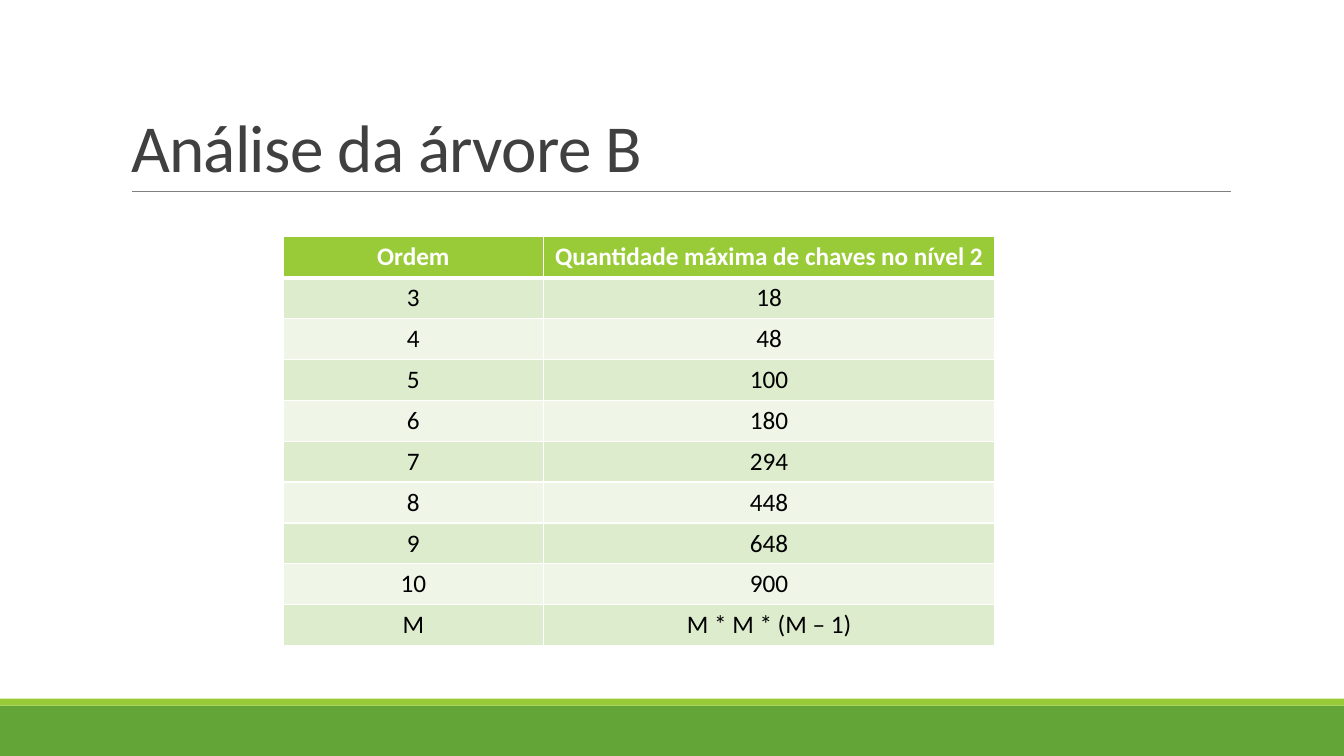
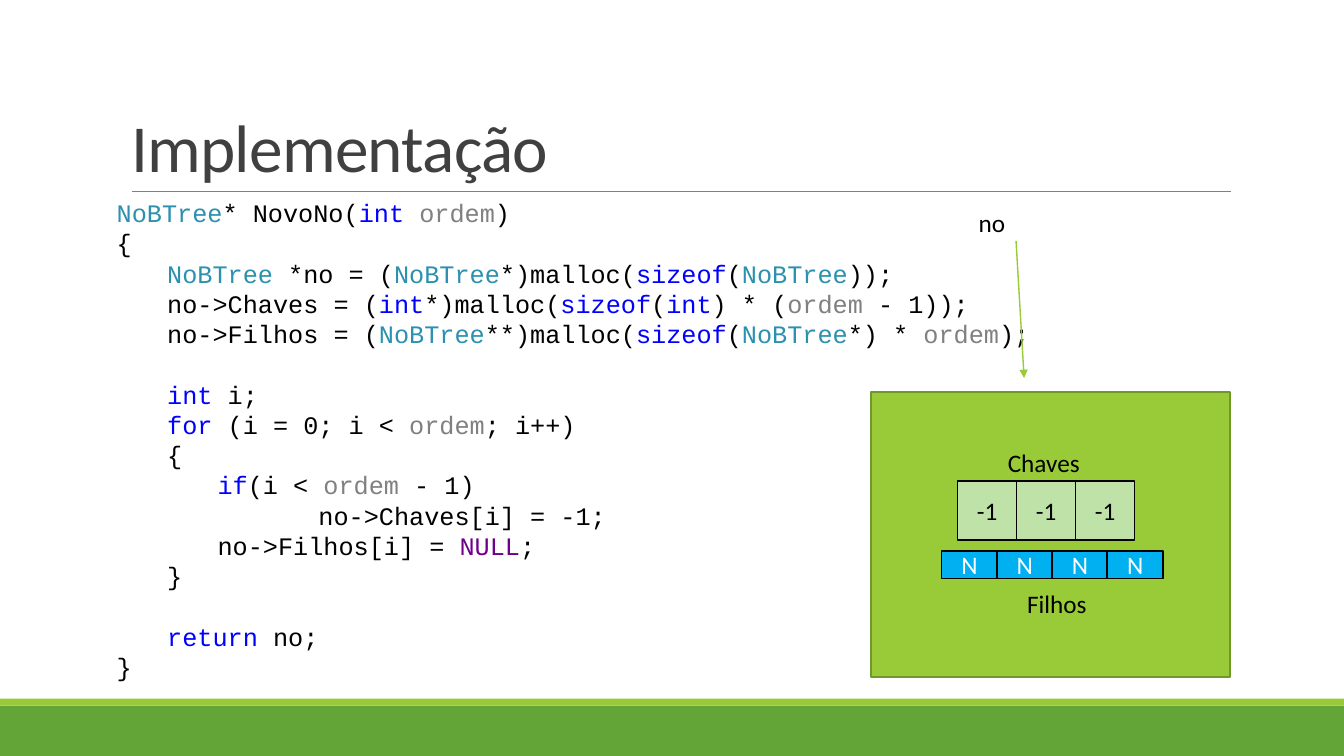
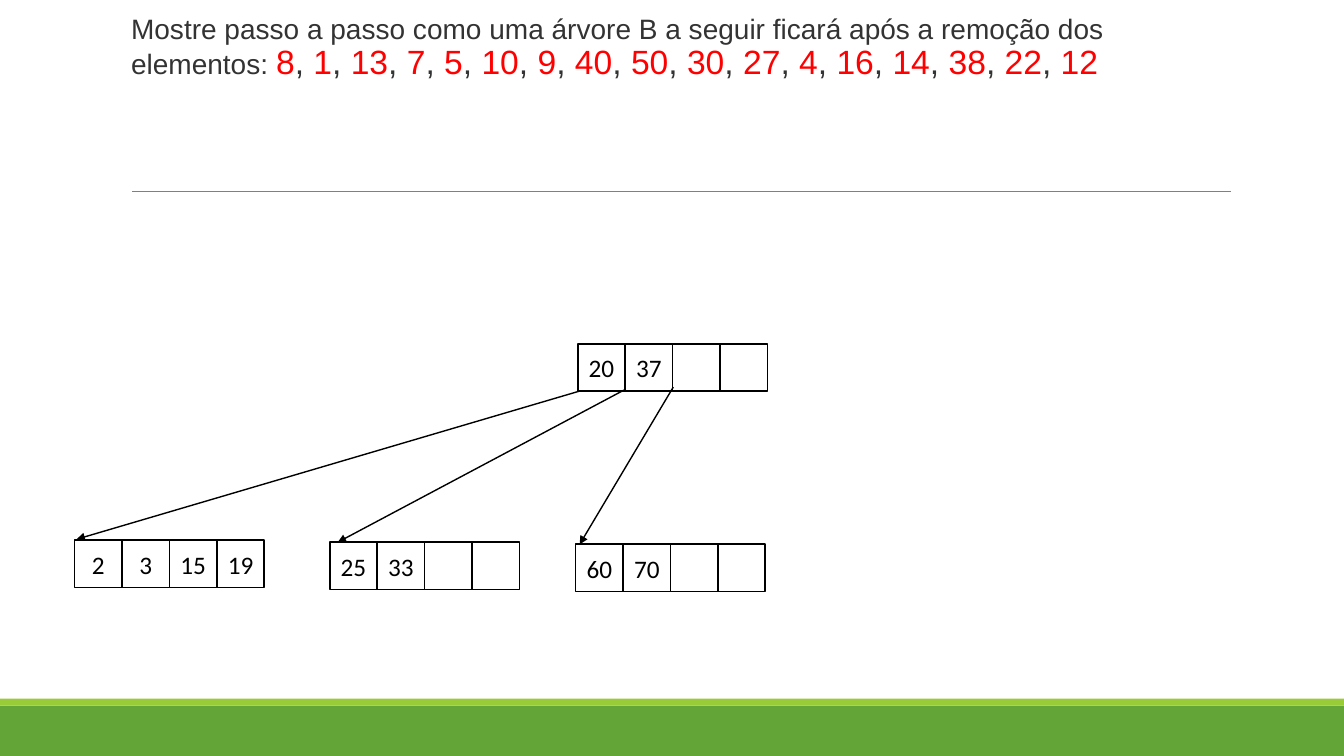
from dataclasses import dataclass
from itertools import groupby

from pptx import Presentation
from pptx.dml.color import RGBColor
from pptx.enum.shapes import MSO_CONNECTOR as Connector, MSO_SHAPE as Preset
from pptx.enum.text import MSO_ANCHOR as Anchor, MSO_AUTO_SIZE as AutoSize, PP_ALIGN as Align
from pptx.oxml.ns import qn
from pptx.util import Inches, Pt
from lxml.etree import SubElement

WIDTH, HEIGHT = Inches(13.33), Inches(7.5)
TITLE_ONLY, TITLE_AND_BODY = 5, 1


@dataclass(frozen=True)
class Theme:
    """Colours, fonts and sizes shared by the slides."""
    font: str = "Calibri"
    code_font: str = "Courier New"
    prompt_font: str = "Arial"
    title_size: float = 48
    text_size: float = 18
    prompt_size: float = 20
    number_size: float = 24
    code_pitch: float = 21.6
    outline: float = 1.25
    ink: str = "000000"
    paper: str = "FFFFFF"
    title: str = "404040"
    rule: str = "808080"
    green: str = "63A537"
    lime: str = "99CB38"
    lime_edge: str = "719629"
    bands: tuple = ("EFF6E8", "DEECCE")
    key: str = "BFE2A8"
    child: str = "00B0F0"
    prompt: str = "333333"
    red: str = "FF0000"


THEME = Theme()
SYNTAX = {
    "NoBTree": "2B91AF",
    "ordem": "808080",
    "NULL": "6F008A",
    **dict.fromkeys(("int", "sizeof", "for", "if", "return"), "0000FF"),
}
CODE = """\
NoBTree* NovoNo(int ordem)
{
    NoBTree *no = (NoBTree*)malloc(sizeof(NoBTree));
    no->Chaves = (int*)malloc(sizeof(int) * (ordem - 1));
    no->Filhos = (NoBTree**)malloc(sizeof(NoBTree*) * ordem);

    int i;
    for (i = 0; i < ordem; i++)
    {
        if(i < ordem - 1)
                no->Chaves[i] = -1;
        no->Filhos[i] = NULL;
    }

    return no;
}"""
ORDERS = [
    ("Ordem", "Quantidade máxima de chaves no nível 2"),
    *((str(order), str(order * order * (order - 1))) for order in range(3, 11)),
    ("M", "M * M * (M – 1)"),
]
REMOVALS = (8, 1, 13, 7, 5, 10, 9, 40, 50, 30, 27, 4, 16, 14, 38, 22, 12)


def across(share):
    """Turn a percentage of the slide's width into a length."""
    return round(WIDTH * share / 100)


def down(share):
    """Turn a percentage of the slide's height into a length."""
    return round(HEIGHT * share / 100)


def area(left, top, width, height):
    """Turn four percentages into a position and a size."""
    return across(left), down(top), across(width), down(height)


def rgb(colour):
    """Read a hexadecimal colour."""
    return RGBColor.from_string(colour)


def write(para, text, *, size=THEME.text_size, font=THEME.font, colour=THEME.ink, bold=False):
    """Add a formatted run to a paragraph."""
    span = para.add_run()
    span.text = text
    span.font.size = Pt(size)
    span.font.name = font
    span.font.bold = bold
    span.font.color.rgb = rgb(colour)
    return span


def add_rect(shapes, place, fill, line=None, text="", colour=THEME.ink):
    """Draw a rectangle with an optional outline and centred text."""
    box = shapes.add_shape(Preset.RECTANGLE, *area(*place))
    box.shadow.inherit = False
    box.fill.solid()
    box.fill.fore_color.rgb = rgb(fill)
    if line:
        box.line.color.rgb = rgb(line)
        box.line.width = Pt(THEME.outline)
    else:
        box.line.fill.background()
    if text:
        box.text_frame.vertical_anchor = Anchor.MIDDLE
        para = box.text_frame.paragraphs[0]
        para.alignment = Align.CENTER
        write(para, text, colour=colour)
    return box


def add_line(shapes, start, end, colour, width=1, arrow=True):
    """Draw a straight line, with an arrowhead at its end if wanted."""
    line = shapes.add_connector(
        Connector.STRAIGHT, across(start[0]), down(start[1]), across(end[0]), down(end[1]))
    line.line.color.rgb = rgb(colour)
    line.line.width = Pt(width)
    if arrow:
        SubElement(line.line._get_or_add_ln(), qn("a:tailEnd"), type="triangle")
    SubElement(line.element.spPr, qn("a:effectLst"))
    return line


def add_cells(page, texts, left, top, width, height, fill, pitch=None, colour=THEME.ink):
    """Draw a grouped row of outlined cells."""
    cells = page.shapes.add_group_shape().shapes
    for index, text in enumerate(texts):
        place = (left + index * (pitch or width), top, width, height)
        add_rect(cells, place, fill, THEME.ink, text, colour)


def add_label(page, text, left, top, width):
    """Add a one-line label."""
    box = page.shapes.add_textbox(*area(left, top, width, 5.33))
    box.text_frame.word_wrap = False
    write(box.text_frame.paragraphs[0], text)


def add_code(page, code, *place):
    """Add highlighted code whose empty lines become paragraph spacing."""
    frame = page.shapes.add_textbox(*area(*place)).text_frame
    frame.word_wrap = True
    para, gap = frame.paragraphs[0], 0
    for number, line in enumerate(code.splitlines()):
        if not line:
            gap = THEME.code_pitch
            continue
        if number:
            para = frame.add_paragraph()
        words = line.lstrip()
        depth = (len(line) - len(words)) // 4
        para._p.get_or_add_pPr().set("marL", str(Inches(0.5) * depth))
        para.line_spacing = Pt(THEME.code_pitch)
        if gap:
            para.space_before, gap = Pt(gap), 0
        tokens = ["".join(group) for _, group in groupby(words, str.isalnum)]
        for colour, group in groupby(tokens, lambda token: SYNTAX.get(token, THEME.ink)):
            write(para, "".join(group), font=THEME.code_font, colour=colour)


def set_borders(cell, **widths):
    """Give a table cell white borders of the given widths."""
    properties = cell._tc.get_or_add_tcPr()
    for side in "LRTB":
        line = SubElement(properties, qn(f"a:ln{side}"), w=str(Pt(widths.get(side, 1))))
        SubElement(SubElement(line, qn("a:solidFill")), qn("a:srgbClr"), val=THEME.paper)


def add_grid(page, rows, left, top, columns, row_height):
    """Add a banded table with a header row."""
    place = area(left, top, sum(columns), row_height * len(rows))
    table = page.shapes.add_table(len(rows), len(columns), *place).table
    for column, width in zip(table.columns, columns):
        column.width = across(width)
    for number, texts in enumerate(rows):
        table.rows[number].height = down(row_height)
        header = number == 0
        for cell, text in zip(table.rows[number].cells, texts):
            set_borders(cell, T=3 if number == 1 else 1, B=3 if header else 1)
            cell.fill.solid()
            cell.fill.fore_color.rgb = rgb(THEME.lime if header else THEME.bands[number % 2])
            para = cell.text_frame.paragraphs[0]
            para.alignment = Align.CENTER
            write(para, text, bold=header, colour=THEME.paper if header else THEME.ink)


def place_holder(holder, *place):
    """Move a placeholder and stop it from fitting its text."""
    holder.left, holder.top, holder.width, holder.height = area(*place)
    holder.text_frame.auto_size = AutoSize.NONE
    holder.text_frame.word_wrap = True
    return holder.text_frame


def add_titled_page(deck, title):
    """Add a slide with a formatted title."""
    page = deck.slides.add_slide(deck.slide_layouts[TITLE_ONLY])
    frame = place_holder(page.shapes.title, 9, 4.13, 82.5, 21.2)
    frame.vertical_anchor = Anchor.BOTTOM
    para = frame.paragraphs[0]
    para.alignment = Align.LEFT
    para.line_spacing = 0.85
    span = write(para, title, size=THEME.title_size, colour=THEME.title)
    span.font._element.set("spc", "-50")
    return page


def decorate_master(deck, page):
    """Draw the bands and the title rule and hand them to the master."""
    parts = (
        add_rect(page.shapes, (0, 93.33, 100, 6.67), THEME.green),
        add_rect(page.shapes, (0, 92.4, 100, 0.93), THEME.lime),
        add_line(page.shapes, (9.82, 25.33), (91.58, 25.33), THEME.rule, 0.5, arrow=False),
    )
    for part in parts:
        deck.slide_master.shapes.element.append(part.element)


def build_analysis(deck):
    """Build the table of key counts."""
    page = add_titled_page(deck, "Análise da árvore B")
    decorate_master(deck, page)
    add_grid(page, ORDERS, 21.08, 31.33, (19.35, 33.6), 5.41)


def build_implementation(deck):
    """Build the code slide with its node diagram."""
    page = add_titled_page(deck, "Implementação")
    add_rect(page.shapes, (64.8, 51.87, 26.7, 37.73), THEME.lime, THEME.lime_edge)
    add_code(page, CODE, 7.95, 25.47, 84.6, 66)
    add_cells(page, ["-1"] * 3, 71.25, 63.6, 4.39, 7.84, THEME.key)
    add_cells(page, ["N"] * 4, 70.05, 72.93, 4.17, 3.6, THEME.child, 4.11, THEME.paper)
    add_label(page, "Chaves", 74.25, 58.53, 6.9)
    add_label(page, "Filhos", 75.68, 77.2, 6)
    add_line(page.shapes, (75.6, 31.87), (76.2, 50), THEME.lime)
    add_label(page, "no", 72.08, 26.8, 3.53)


def build_exercise(deck):
    """Build the removal exercise with its tree."""
    page = deck.slides.add_slide(deck.slide_layouts[TITLE_AND_BODY])
    title = page.shapes.title.element
    title.getparent().remove(title)
    frame = place_holder(page.placeholders[1], 9, 1.33, 82.5, 13.73)
    frame.margin_left = frame.margin_right = 0
    para = frame.paragraphs[0]
    properties = para._p.get_or_add_pPr()
    properties.set("marL", str(Inches(0.1)))
    properties.set("indent", "0")
    SubElement(properties, qn("a:buNone"))
    para.line_spacing = 0.9
    para.space_before = Pt(0)
    write(para, "Mostre passo a passo como uma árvore B a seguir ficará após a remoção dos elementos: ",
          size=THEME.prompt_size, font=THEME.prompt_font, colour=THEME.prompt)
    for index, number in enumerate(REMOVALS):
        style = {"size": THEME.number_size, "font": THEME.prompt_font}
        if index:
            write(para, ", ", colour=THEME.prompt, **style)
        write(para, str(number), colour=THEME.red, **style)

    nodes = (
        (("20", "37", "", ""), 42.98, 45.47),
        (("2", "3", "15", "19"), 5.55, 71.47),
        (("25", "33", "", ""), 24.53, 71.73),
        (("60", "70", "", ""), 42.83, 72),
    )
    for keys, left, top in nodes:
        add_cells(page, keys, left, top, 3.53, 6.27, THEME.paper)
    links = (
        ((43.13, 51.73), (5.7, 71.33)),
        ((46.43, 51.6), (25.13, 71.73)),
        ((50.1, 51.2), (43.13, 72)),
    )
    for start, end in links:
        add_line(page.shapes, start, end, THEME.ink)


def main():
    """Build and save the presentation."""
    deck = Presentation()
    deck.slide_width, deck.slide_height = WIDTH, HEIGHT
    build_analysis(deck)
    build_implementation(deck)
    build_exercise(deck)
    deck.save("out.pptx")


if __name__ == "__main__":
    main()
